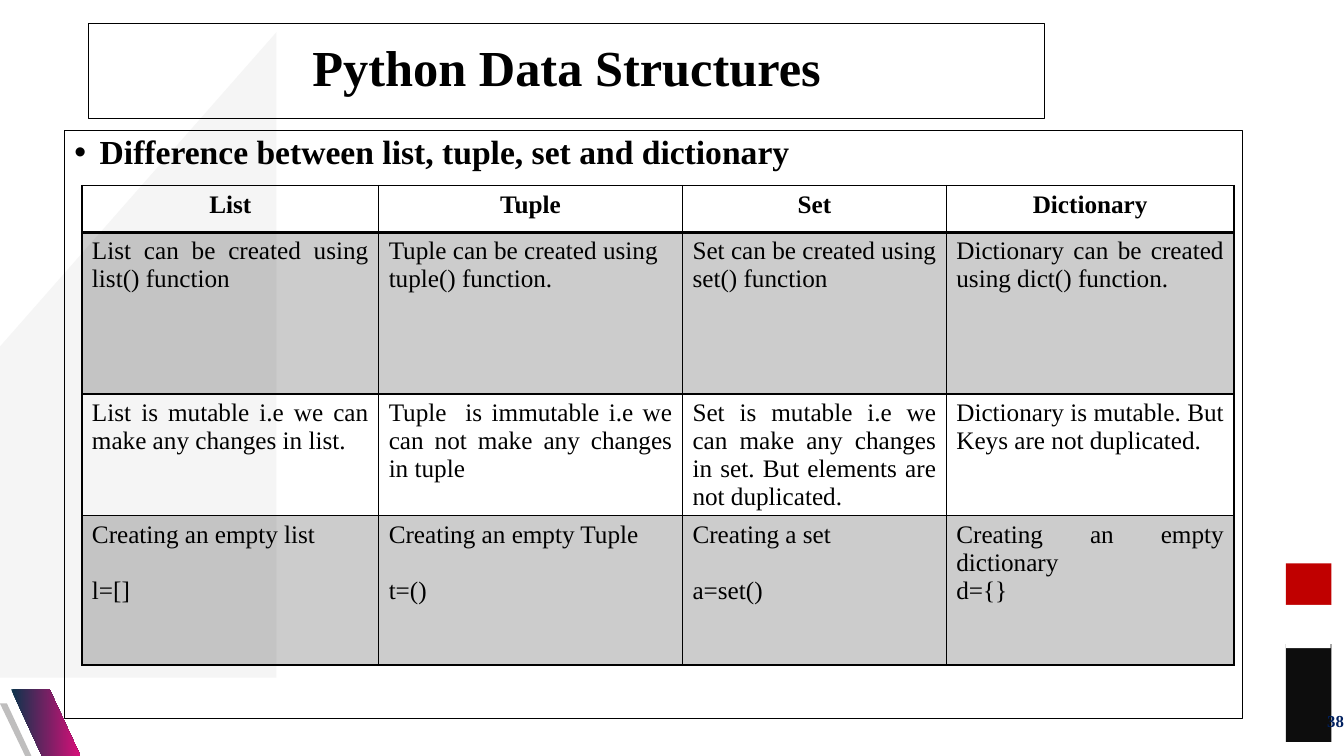
from lxml import etree
from pptx import Presentation
from pptx.dml.color import RGBColor
from pptx.enum import shapes, text
from pptx.oxml.ns import qn
from pptx.util import Pt

FONT = "Times New Roman"
BLACK = "000000"
ALIGN = {"l": text.PP_ALIGN.LEFT, "c": text.PP_ALIGN.CENTER,
         "r": text.PP_ALIGN.RIGHT, "j": text.PP_ALIGN.JUSTIFY}

HEADINGS = ["List", "Tuple", "Set", "Dictionary"]
CREATION = ["List can be created using list() function",
            "Tuple can be created using tuple() function.",
            "Set can be created using set() function",
            "Dictionary can be created using dict() function."]
MUTABILITY = ["List is mutable i.e we can make any changes in list.",
              "Tuple  is immutable i.e we can not make any changes in tuple",
              "Set is mutable i.e we can make any changes in set. "
              "But elements are not duplicated.",
              "Dictionary is mutable. But Keys are not duplicated."]
EMPTY = ["Creating an empty list\nl=[]", "Creating an empty Tuple\nt=()",
         "Creating a set\na=set()", "Creating an empty dictionary\nd={}"]
COLUMN_WIDTHS = [212, 217, 188.5, 205.5]
ROW_HEIGHTS = [33.5, 115.5, 87, 106.5]


def rgb(colour):
    return RGBColor.from_string(colour)


def place(shape, left, top, width, height):
    shape.left, shape.top = Pt(left), Pt(top)
    shape.width, shape.height = Pt(width), Pt(height)


def set_alpha(fill_parent, percent):
    colour = fill_parent.find(qn("a:solidFill"))[0]
    etree.SubElement(colour, qn("a:alpha"), val=str(percent * 1000))


def write_text(frame, wording, size=18, colour=BLACK, bold=False, align="l",
               spacing=1.0, gap=0, bullet=None, indent=0):
    """Write one paragraph per line of wording, with gap points between them."""
    frame.word_wrap = True
    frame.auto_size = text.MSO_AUTO_SIZE.NONE
    for number, line in enumerate(wording.split("\n")):
        paragraph = frame.add_paragraph() if number else frame.paragraphs[0]
        paragraph.text = line
        paragraph.alignment = ALIGN[align]
        paragraph.line_spacing = spacing
        paragraph.space_before = Pt(gap if number else 0)
        if bullet:
            properties = paragraph._p.get_or_add_pPr()
            properties.set("marL", str(Pt(indent)))
            properties.set("indent", str(-Pt(indent)))
            etree.SubElement(properties, qn("a:buChar"), char=bullet)
        font = paragraph.runs[0].font
        font.name, font.size, font.bold = FONT, Pt(size), bold
        font.color.rgb = rgb(colour)


def add_block(slide, kind, box, colour):
    block = slide.shapes.add_shape(kind, *map(Pt, box))
    block.shadow.inherit = False
    block.fill.solid()
    block.fill.fore_color.rgb = rgb(colour)
    block.line.fill.background()
    return block


def add_stripe(slide, corners, *colours):
    """Draw a slanted stripe, plain for one colour and a gradient for two."""
    builder = slide.shapes.build_freeform(*map(Pt, corners[0]), scale=1.0)
    builder.add_line_segments([(Pt(x), Pt(y)) for x, y in corners[1:]])
    stripe = builder.convert_to_shape()
    stripe.shadow.inherit = False
    stripe.line.fill.background()
    if len(colours) == 1:
        stripe.fill.solid()
        stripe.fill.fore_color.rgb = rgb(colours[0])
    else:
        stripe.fill.gradient()
        stripe.fill.gradient_angle = 0
        for stop, colour in zip(stripe.fill.gradient_stops, colours):
            stop.color.rgb = rgb(colour)


def add_decoration(slide):
    rectangle = shapes.MSO_SHAPE.RECTANGLE
    triangle = add_block(slide, shapes.MSO_SHAPE.RIGHT_TRIANGLE,
                         (-208, 23, 405.5, 461), "D9D9D9")
    properties = triangle.element.spPr
    properties.find(qn("a:xfrm")).set("flipH", "1")
    set_alpha(properties, 26)
    add_block(slide, rectangle, (918.5, 402.5, 32.5, 29.5), "C00000")
    add_block(slide, rectangle, (918.5, 460, 32.5, 70), "0D0D0D")
    add_block(slide, rectangle, (918.5, 432, 32, 31), "FFFFFF")
    add_stripe(slide, [(57.5, 540), (35.5, 492.5), (8, 492.5), (30, 540)],
               "0C344C", "D80F79")
    add_stripe(slide, [(22.5, 540), (5, 502.5), (0, 502.5), (18, 540)], "BFBEBE")


def frame_placeholder(slide, placeholder, *box):
    """Place and outline a placeholder, in front of the decoration."""
    place(placeholder, *box)
    placeholder.line.color.rgb = rgb(BLACK)
    placeholder.line.width = Pt(0.75)
    slide.shapes.element.append(placeholder.element)


def add_page_number(slide, number):
    box = slide.shapes.add_textbox(Pt(744), Pt(500.5), Pt(216), Pt(29))
    frame = box.text_frame
    frame.margin_right = 0
    frame.vertical_anchor = text.MSO_ANCHOR.MIDDLE
    write_text(frame, number, size=12, colour="002060", bold=True, align="r")


def add_border(cell, side, width):
    line = etree.SubElement(cell._tc.get_or_add_tcPr(), qn(f"a:ln{side}"),
                            w=str(Pt(width)))
    fill = etree.SubElement(line, qn("a:solidFill"))
    etree.SubElement(fill, qn("a:srgbClr"), val=BLACK)


def format_cell(cell, shaded, bottom):
    for side in "LRT":
        add_border(cell, side, 1)
    add_border(cell, "B", bottom)
    if shaded:
        cell.fill.solid()
        cell.fill.fore_color.rgb = rgb(BLACK)
        set_alpha(cell._tc.tcPr, 20)
    else:
        cell.fill.background()


def add_comparison(slide):
    rows = [HEADINGS, CREATION, MUTABILITY, EMPTY]
    table = slide.shapes.add_table(
        len(rows), len(HEADINGS), Pt(58.5), Pt(132.5),
        Pt(sum(COLUMN_WIDTHS)), Pt(sum(ROW_HEIGHTS))).table
    table.first_row = table.horz_banding = False
    for column, width in zip(table.columns, COLUMN_WIDTHS):
        column.width = Pt(width)
    for r, wordings in enumerate(rows):
        table.rows[r].height = Pt(ROW_HEIGHTS[r])
        for c, wording in enumerate(wordings):
            cell = table.cell(r, c)
            header = r == 0
            align = "c" if header else "l" if (r, c) == (1, 1) else "j"
            gap = 0 if HEADINGS[c] == "Dictionary" else 20
            write_text(cell.text_frame, wording, bold=header, align=align, gap=gap)
            format_cell(cell, shaded=r % 2 == 1, bottom=2 if header else 1)


def main():
    deck = Presentation()
    deck.slide_width, deck.slide_height = Pt(960), Pt(540)
    slide = deck.slides.add_slide(deck.slide_layouts[1])
    title, topic = slide.placeholders
    add_decoration(slide)
    add_page_number(slide, "38")
    frame_placeholder(slide, title, 63.5, 16.5, 682.5, 68)
    title.text_frame.vertical_anchor = text.MSO_ANCHOR.MIDDLE
    write_text(title.text_frame, "Python Data Structures", size=36, bold=True,
               align="c", spacing=0.9)
    frame_placeholder(slide, topic, 46, 93.5, 841.5, 420)
    write_text(topic.text_frame, "Difference between list, tuple, set and dictionary",
               size=24, bold=True, spacing=0.9, bullet="•", indent=18)
    add_comparison(slide)
    deck.save("out.pptx")


if __name__ == "__main__":
    main()
